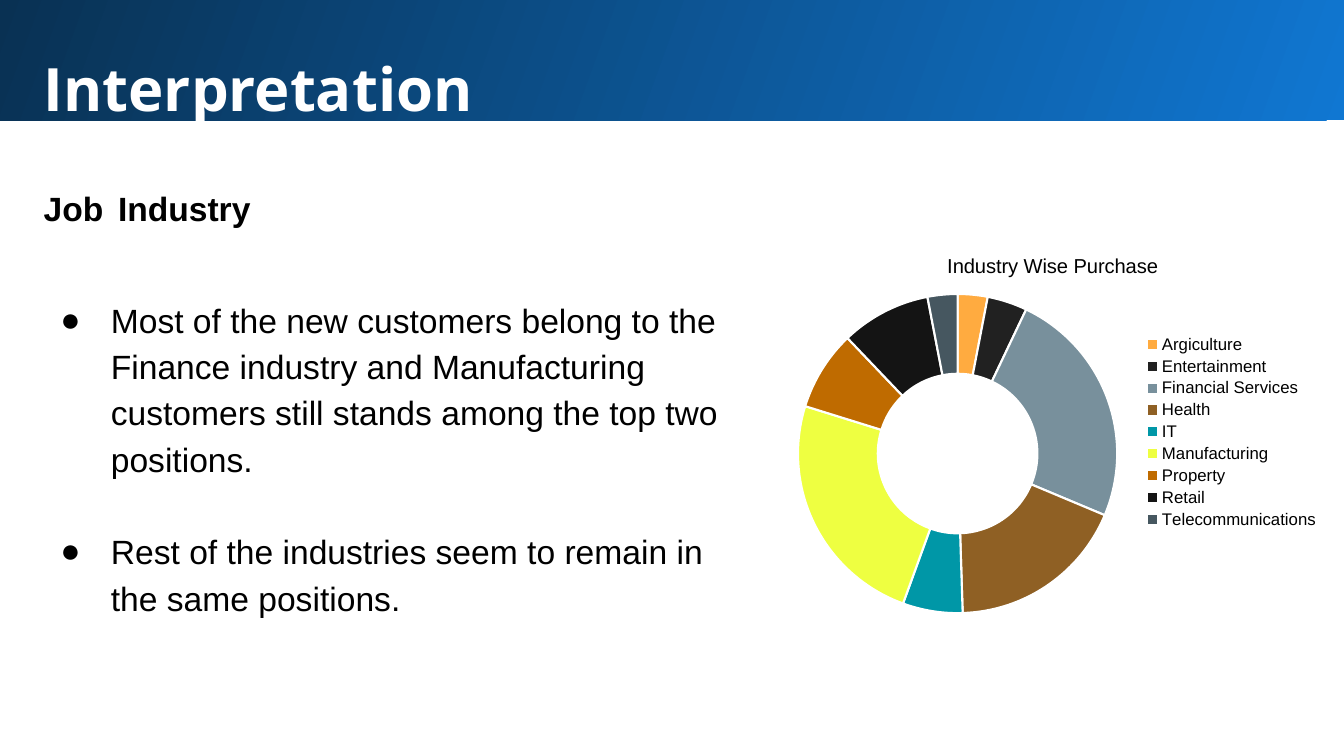
from dataclasses import dataclass

import lxml.etree
import pptx
import pptx.chart.data
import pptx.dml.color
import pptx.enum.chart
import pptx.enum.shapes
import pptx.enum.text
import pptx.oxml
import pptx.oxml.ns
import pptx.util

Pt = pptx.util.Pt
Color = pptx.dml.color.RGBColor.from_string
qn = pptx.oxml.ns.qn


@dataclass(frozen=True)
class Theme:
    light_blue: str = "1077D2"
    dark_blue: str = "093153"
    white: str = "FFFFFF"
    black: str = "000000"
    title_size: float = 42.7
    body_size: float = 24
    gap_size: float = 29.3
    chart_title_size: float = 14.4
    legend_size: float = 12
    title_font: str = "Open Sans"
    body_font: str = "Arial"
    gap_font: str = "Comic Neue"


theme = Theme()


def set_font(font, name, size, color, bold=False):
    font.name = name
    font.size = Pt(size)
    font.color.rgb = Color(color)
    font.bold = bold


def prepare_frame(box):
    frame = box.text_frame
    frame.word_wrap = True
    frame.auto_size = pptx.enum.text.MSO_AUTO_SIZE.NONE
    frame.vertical_anchor = pptx.enum.text.MSO_ANCHOR.TOP
    frame.margin_left = frame.margin_right = Pt(9.6)
    frame.margin_top = frame.margin_bottom = Pt(9.6)
    return frame


deck = pptx.Presentation()
deck.slide_width, deck.slide_height = Pt(960), Pt(540)
page = deck.slides.add_slide(deck.slide_layouts[5])

title = page.shapes.title
title.left, title.top, title.width, title.height = Pt(21.6), Pt(27.4), Pt(899), Pt(80)
para = prepare_frame(title).paragraphs[0]
para.text = "Interpretation"
para.alignment = pptx.enum.text.PP_ALIGN.LEFT
set_font(para.font, theme.title_font, theme.title_size, theme.white, True)

band = page.shapes.add_shape(
    pptx.enum.shapes.MSO_SHAPE.RECTANGLE, Pt(-1.5), Pt(-2), Pt(965), Pt(88)
)
band.shadow.inherit = False
band.line.fill.background()
band.fill.gradient()
band.fill.gradient_angle = 160
for stop, color in zip(band.fill.gradient_stops, (theme.light_blue, theme.dark_blue)):
    stop.color.rgb = Color(color)
title._element.addprevious(band._element)

heading = page.shapes.add_textbox(Pt(21.6), Pt(113.8), Pt(899), Pt(53))
para = prepare_frame(heading).paragraphs[0]
para.line_spacing = 1.15
set_font(para.font, theme.body_font, theme.body_size, theme.black, True)
for words in ("Job", " ", "Industry"):
    span = para.add_run()
    span.text = words
    if words == " ":
        span.font.name = theme.gap_font
        span.font.size = Pt(theme.gap_size)

findings = (
    "Most of the new customers belong to the Finance industry and Manufacturing "
    "customers still stands among the top two positions.",
    "Rest of the industries seem to remain in the same positions.",
)
body = page.shapes.add_textbox(Pt(21.6), Pt(200), Pt(516), Pt(286))
frame = prepare_frame(body)
for index, finding in enumerate(findings):
    para = frame.add_paragraph() if index else frame.paragraphs[0]
    para.text = finding
    para.line_spacing = 1.15
    para.space_before = Pt(33 if index else 0)
    properties = para._p.get_or_add_pPr()
    properties.set("marL", str(Pt(48)))
    properties.set("indent", str(Pt(-36)))
    bullet_color = lxml.etree.SubElement(properties, qn("a:buClr"))
    lxml.etree.SubElement(bullet_color, qn("a:srgbClr"), val=theme.black)
    lxml.etree.SubElement(properties, qn("a:buFont"), typeface=theme.body_font)
    lxml.etree.SubElement(properties, qn("a:buChar"), char="●")
    set_font(para.font, theme.body_font, theme.body_size, theme.black)

industries = (
    ("Argiculture", 3, "FFAB40"),
    ("Entertainment", 4, "212121"),
    ("Financial Services", 24, "78909C"),
    ("Health", 18, "8F6024"),
    ("IT", 6, "0097A7"),
    ("Manufacturing", 24, "EEFF41"),
    ("Property", 8, "BF6B00"),
    ("Retail", 9, "141414"),
    ("Telecommunications", 3, "465760"),
)
names, shares, colors = zip(*industries)
data = pptx.chart.data.CategoryChartData()
data.categories = names
data.add_series("Series 1", shares)
chart = page.shapes.add_chart(
    pptx.enum.chart.XL_CHART_TYPE.DOUGHNUT, Pt(550), Pt(167), Pt(400), Pt(283), data
).chart
set_font(chart.font, theme.body_font, theme.legend_size, theme.black)

chart.has_title = True
para = chart.chart_title.text_frame.paragraphs[0]
para.text = "Industry Wise Purchase"
set_font(para.font, theme.body_font, theme.chart_title_size, theme.black)

chart.has_legend = True
chart.legend.position = pptx.enum.chart.XL_LEGEND_POSITION.RIGHT
chart.legend.include_in_layout = False
set_font(chart.legend.font, theme.body_font, theme.legend_size, theme.black)

plot = chart.plots[0]
plot.vary_by_categories = True
plot._element.find(qn("c:holeSize")).set("val", "75")
for index, color in enumerate(colors):
    slice_format = plot.series[0].points[index].format
    slice_format.fill.solid()
    slice_format.fill.fore_color.rgb = Color(color)
    slice_format.line.color.rgb = Color(theme.white)
    slice_format.line.width = Pt(1.5)

title_place = (("xMode", "edge"), ("yMode", "edge"), ("x", 0.31), ("y", 0.04))
plot_place = (
    ("layoutTarget", "inner"), ("xMode", "edge"), ("yMode", "edge"),
    ("x", 0.05), ("y", 0.15), ("w", 0.57), ("h", 0.81),
)
plot_area = chart._chartSpace.chart.plotArea
for owner, place in ((chart.chart_title._element, title_place), (plot_area, plot_place)):
    layout = owner.find(qn("c:layout"))
    if layout is None:
        layout = lxml.etree.Element(qn("c:layout"))
        owner.insert(0 if owner is plot_area else 1, layout)
    manual = lxml.etree.SubElement(layout, qn("c:manualLayout"))
    for key, value in place:
        lxml.etree.SubElement(manual, qn("c:" + key), val=str(value))

deck.save("out.pptx")
